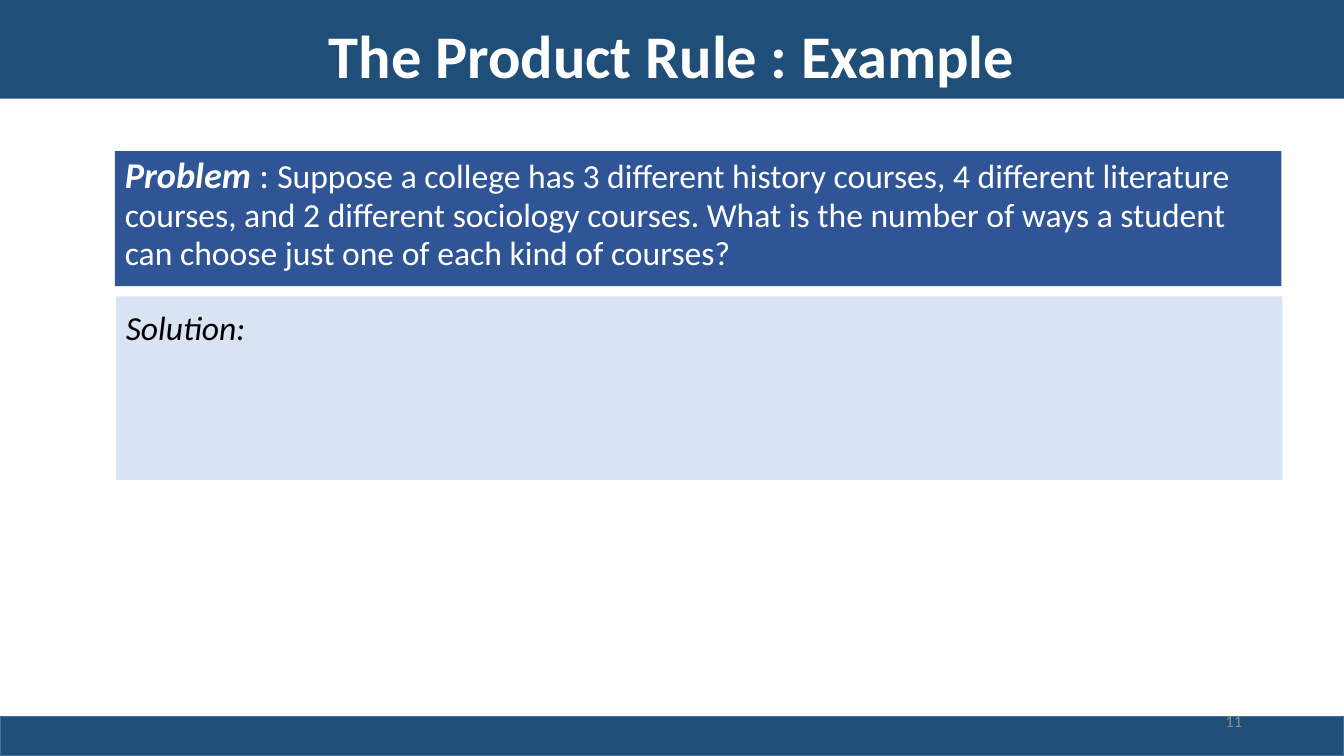
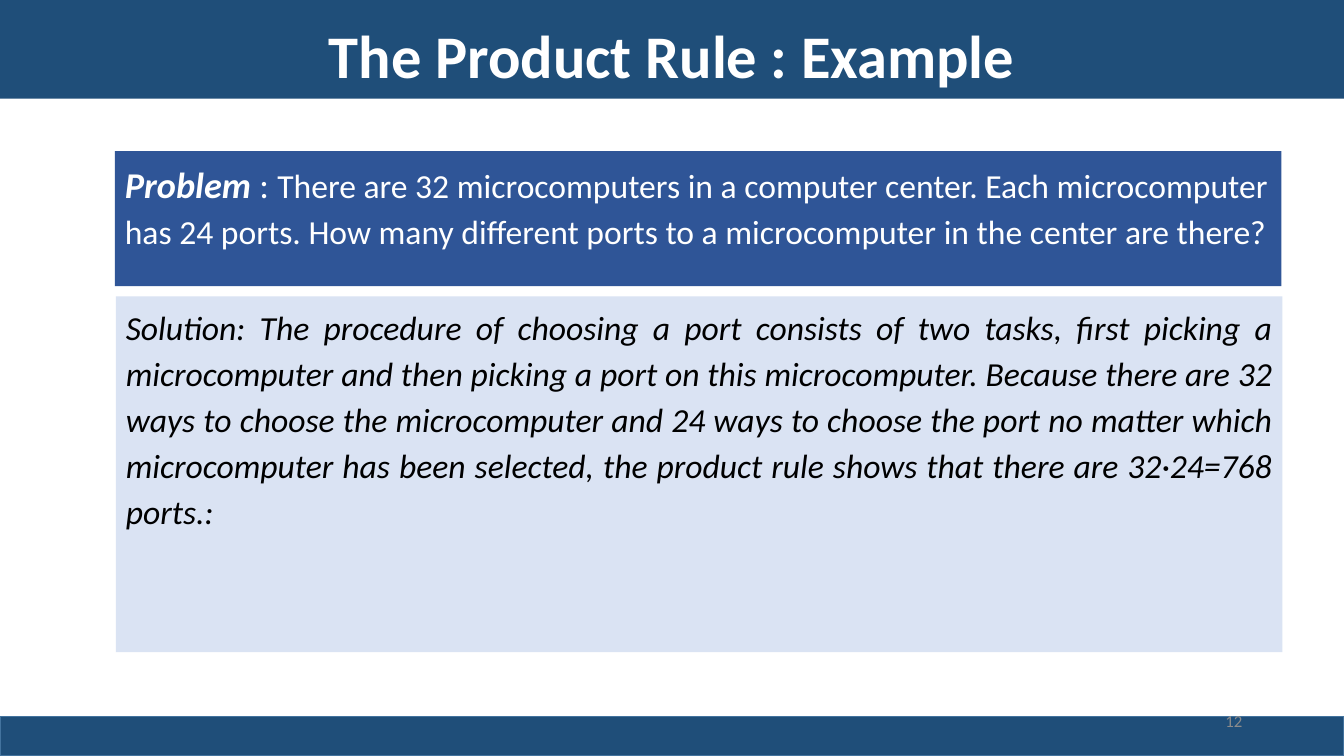
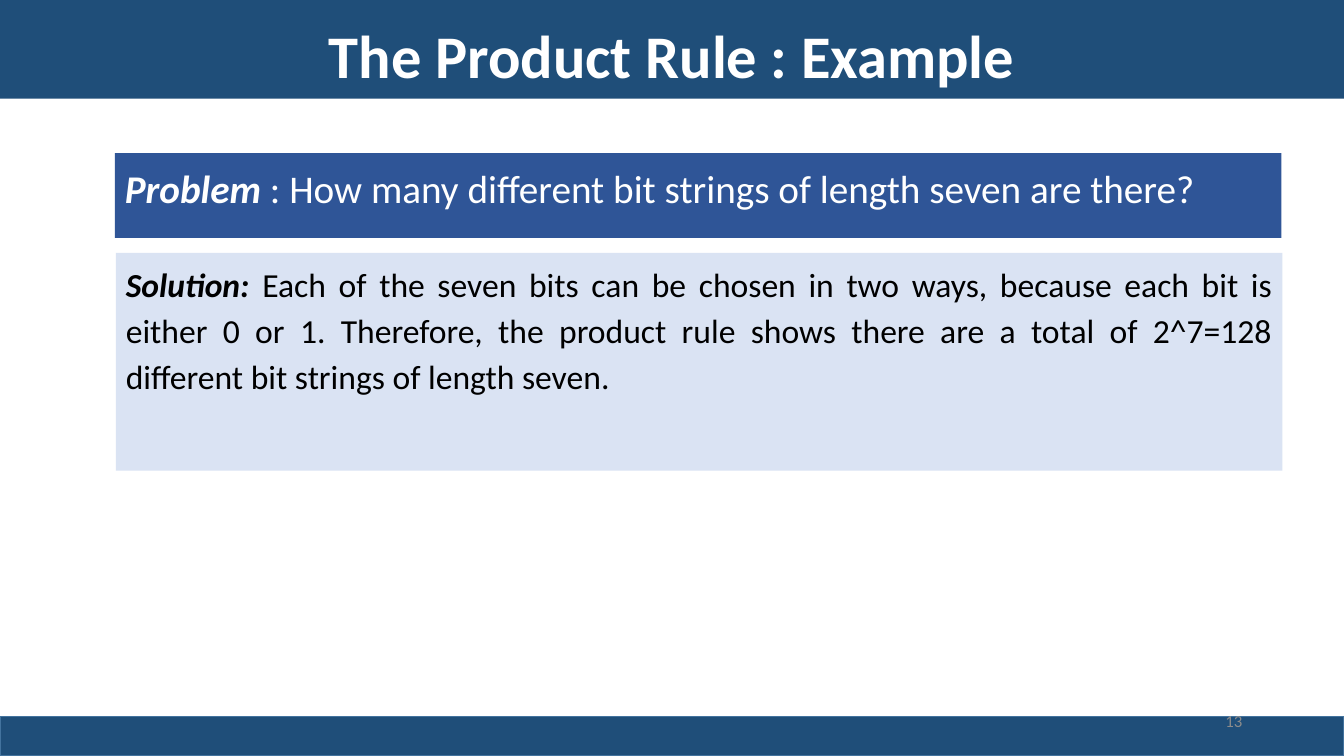
from dataclasses import dataclass

from pptx import Presentation
from pptx.dml.color import RGBColor
from pptx.enum.shapes import MSO_SHAPE
from pptx.enum.text import MSO_ANCHOR, PP_ALIGN
from pptx.util import Inches, Pt

RECTANGLE = MSO_SHAPE.RECTANGLE
TOP, MIDDLE = MSO_ANCHOR.TOP, MSO_ANCHOR.MIDDLE
LEFT, CENTER = PP_ALIGN.LEFT, PP_ALIGN.CENTER
RIGHT, JUSTIFY = PP_ALIGN.RIGHT, PP_ALIGN.JUSTIFY


@dataclass(frozen=True)
class Theme:
    """Colours, type sizes and spacing shared by the slides."""

    font: str = "Calibri"
    band: str = "1F4E79"
    band_line: str = "43739E"
    problem: str = "2F5597"
    solution: str = "DAE3F3"
    light: str = "FFFFFF"
    dark: str = "000000"
    muted: str = "8C8C8C"
    title_size: float = 43.2
    large_size: float = 28
    label_size: float = 25.9
    body_size: float = 24
    number_size: float = 12
    line_spacing: float = 1.14
    tight_spacing: float = 0.94


THEME = Theme()
WIDTH, HEIGHT = 13.33, 7.5
TITLE = "The Product Rule : Example"
TITLE_BOX = (0, 0, WIDTH, 0.98)
FOOTER_BOX = (0, 7.11, WIDTH, 0.39)
PANEL_LEFT, PANEL_WIDTH = 1.14, 11.57
SOLUTION_SHIFT = 0.01
FIRST_NUMBER = 11

PLAIN = {"bold": False, "italic": False}
ITALIC = {"bold": False, "italic": True}
STRONG = {"bold": True, "italic": True}

PROBLEM_LABEL = [
    ("Problem ", THEME.label_size, STRONG),
    (": ", THEME.label_size, PLAIN),
]

EXAMPLES = [
    {
        "top": 1.5, "problem_height": 1.34, "gap": 0.1, "solution_height": 1.82,
        "problem_spacing": THEME.tight_spacing,
        "problem": PROBLEM_LABEL + [
            ("Suppose a college has 3 different history courses, 4 different "
             "literature courses, and 2 different sociology courses. What is "
             "the number of ways a student can choose just one of each kind "
             "of courses?", THEME.body_size, PLAIN),
        ],
        "solution": [("Solution:", THEME.body_size, ITALIC)],
    },
    {
        "top": 1.5, "problem_height": 1.34, "gap": 0.1, "solution_height": 3.53,
        "problem_spacing": THEME.line_spacing,
        "problem": PROBLEM_LABEL + [
            ("There are 32 microcomputers in a computer center. Each "
             "microcomputer has 24 ports. How many different ports to a "
             "microcomputer in the center are there?", THEME.body_size, PLAIN),
        ],
        "solution": [
            ("Solution: The procedure of choosing a port consists of two "
             "tasks, first picking a microcomputer and then picking a port on "
             "this microcomputer. Because there are 32 ways to choose the "
             "microcomputer and 24 ways to choose the port no matter which "
             "microcomputer has been selected, the product rule shows that "
             "there are 32·24=768 ports.:", THEME.body_size, ITALIC),
        ],
    },
    {
        "top": 1.52, "problem_height": 0.84, "gap": 0.15, "solution_height": 2.16,
        "problem_spacing": THEME.line_spacing,
        "problem": [
            ("Problem ", THEME.large_size, STRONG),
            (": How many different bit strings of length seven are there?",
             THEME.large_size, PLAIN),
        ],
        "solution": [
            ("Solution: ", THEME.body_size, STRONG),
            ("Each of the seven bits can be chosen in two ways, because each "
             "bit is either 0 or 1. Therefore, the product rule shows there "
             "are a total of 2^7=128 different bit strings of length seven.",
             THEME.body_size, PLAIN),
        ],
    },
]


def add_rectangle(slide, box, fill, line=None):
    """Draw a flat rectangle, outlined only when a line colour is given."""
    shape = slide.shapes.add_shape(RECTANGLE, *map(Inches, box))
    shape.shadow.inherit = False
    shape.fill.solid()
    shape.fill.fore_color.rgb = RGBColor.from_string(fill)
    if line:
        shape.line.color.rgb = RGBColor.from_string(line)
        shape.line.width = Pt(1)
    else:
        shape.line.fill.background()
    return shape


def write(shape, runs, color, alignment, anchor=TOP, spacing=1.0):
    """Fill a shape with one paragraph of (text, size, style) runs."""
    frame = shape.text_frame
    frame.word_wrap = True
    frame.vertical_anchor = anchor
    paragraph = frame.paragraphs[0]
    paragraph.alignment = alignment
    paragraph.line_spacing = spacing
    for text, size, style in runs:
        run = paragraph.add_run()
        run.text = text
        run.font.color.rgb = RGBColor.from_string(color)
        values = {"name": THEME.font, "size": Pt(size), **style}
        for attribute, value in values.items():
            setattr(run.font, attribute, value)


def add_title(slide, box):
    """Draw the title band with its centred heading."""
    band = add_rectangle(slide, box, THEME.band)
    runs = [(TITLE, THEME.title_size, {"bold": True})]
    write(band, runs, THEME.light, CENTER, MIDDLE, THEME.line_spacing)


def add_footer(slide, box, number):
    """Draw the footer band and the slide number at its upper edge."""
    left, top, width, _ = box
    add_rectangle(slide, box, THEME.band, THEME.band_line)
    number_box = (left + width - 3.91, top - 0.16, 3, 0.4)
    text_box = slide.shapes.add_textbox(*map(Inches, number_box))
    runs = [(str(number), THEME.number_size, PLAIN)]
    write(text_box, runs, THEME.muted, RIGHT, MIDDLE)


def add_example(slide, left, width, example):
    """Stack the problem panel above its solution panel."""
    top, height = example["top"], example["problem_height"]
    problem = add_rectangle(slide, (left, top, width, height), THEME.problem)
    write(problem, example["problem"], THEME.light, LEFT,
          spacing=example["problem_spacing"])
    solution_box = (left + SOLUTION_SHIFT, top + height + example["gap"],
                    width, example["solution_height"])
    solution = add_rectangle(slide, solution_box, THEME.solution)
    write(solution, example["solution"], THEME.dark, JUSTIFY,
          spacing=THEME.line_spacing)


def main():
    """Build and save the presentation."""
    presentation = Presentation()
    presentation.slide_width = Inches(WIDTH)
    presentation.slide_height = Inches(HEIGHT)
    blank_layout = presentation.slide_layouts[6]
    for number, example in enumerate(EXAMPLES, FIRST_NUMBER):
        slide = presentation.slides.add_slide(blank_layout)
        add_title(slide, TITLE_BOX)
        add_footer(slide, FOOTER_BOX, number)
        add_example(slide, PANEL_LEFT, PANEL_WIDTH, example)
    presentation.save("out.pptx")


if __name__ == "__main__":
    main()
